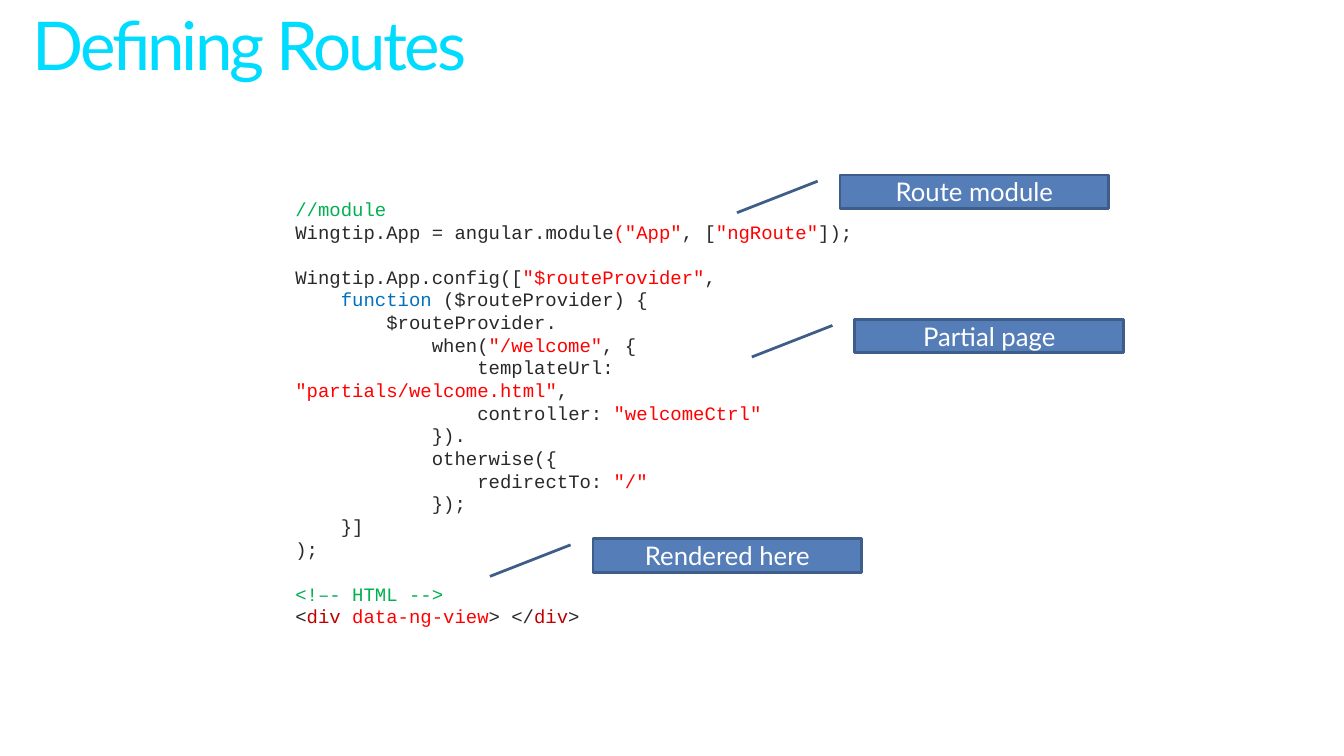
from pptx import Presentation
from pptx.dml.color import RGBColor
from pptx.enum.shapes import MSO_SHAPE
from pptx.enum.text import MSO_ANCHOR, PP_ALIGN
from pptx.util import Inches, Pt

CALLOUT = MSO_SHAPE.LINE_CALLOUT_1
TOP, MIDDLE = MSO_ANCHOR.TOP, MSO_ANCHOR.MIDDLE
LEFT, CENTER = PP_ALIGN.LEFT, PP_ALIGN.CENTER

CYAN = RGBColor(0x00, 0xDC, 0xFF)
INK = RGBColor(0x29, 0x29, 0x29)
GREEN = RGBColor(0x00, 0xB0, 0x50)
RED = RGBColor(0xFF, 0x00, 0x00)
BLUE = RGBColor(0x00, 0x70, 0xC0)
MAROON = RGBColor(0xC0, 0x00, 0x00)
WHITE = RGBColor(0xFF, 0xFF, 0xFF)
CALLOUT_FILL = RGBColor(0x55, 0x7E, 0xB9)
CALLOUT_EDGE = RGBColor(0x3F, 0x5D, 0x89)

TITLE = "Defining Routes"
CODE_BLOCKS = [
    [
        [("//module", GREEN)],
        ["Wingtip.App = angular.module", ('("App"', RED), ", [", ('"ngRoute"', RED), "]);"],
    ],
    [
        ["Wingtip.App.config([", ('"$routeProvider"', RED), ","],
        ["    ", ("function", BLUE), " ($routeProvider) {"],
        ["        $routeProvider."],
        ["            when(", ('"/welcome"', RED), ", {"],
        ["                templateUrl: ", ('"partials/welcome.html"', RED), ","],
        ["                controller: ", ('"welcomeCtrl"', RED)],
        ["            })."],
        ["            otherwise({"],
        ["                redirectTo: ", ('"/"', RED)],
        ["            });"],
        ["    }]"],
        [");"],
    ],
    [
        [("<!–- HTML -->", GREEN)],
        ["<", ("div ", MAROON), ("data-ng-view", RED), "> </", ("div", MAROON), ">"],
    ],
]
CALLOUTS = [
    ("Partial page", 8.65, 3.23),
    ("Rendered here", 6, 5.45),
    ("Route module", 8.5, 1.77),
]
CALLOUT_SIZE = Inches(2.72), Inches(0.34)
CODE_LINE = Pt(16.5)


def write(paragraph, pieces, font="Lato", size=18.7, color=WHITE,
          align=LEFT, spacing=None, before=0, tracking=None):
    paragraph.alignment = align
    paragraph.space_before = before
    if spacing:
        paragraph.line_spacing = spacing
    for piece in pieces:
        text, tint = (piece, color) if isinstance(piece, str) else piece
        run = paragraph.add_run()
        run.text = text
        run.font.name = font
        run.font.size = Pt(size)
        run.font.color.rgb = tint
        if tracking:
            run.font._element.set("spc", str(tracking * 100))


deck = Presentation()
deck.slide_width, deck.slide_height = Inches(13.6), Inches(7.65)
slide = deck.slides.add_slide(deck.slide_layouts[5])

title = slide.shapes.title
title.left, title.top = Inches(0.23), Inches(0.08)
title.width, title.height = Inches(12.81), Inches(0.93)
title.text_frame.vertical_anchor = TOP
write(title.text_frame.paragraphs[0], [TITLE], size=49, color=CYAN,
      spacing=0.9, tracking=-2)

code = slide.shapes.add_textbox(
    Inches(2.89), Inches(1.95), Inches(5.99), Inches(4.36)).text_frame
code.word_wrap = True
for block_number, block in enumerate(CODE_BLOCKS):
    for line_number, line in enumerate(block):
        is_first = block_number == line_number == 0
        paragraph = code.paragraphs[0] if is_first else code.add_paragraph()
        opens_block = block_number > 0 and line_number == 0
        write(paragraph, line, font="Courier New", size=13.8, color=INK,
              spacing=CODE_LINE, before=CODE_LINE if opens_block else 0)

for label, left, top in CALLOUTS:
    callout = slide.shapes.add_shape(CALLOUT, Inches(left), Inches(top), *CALLOUT_SIZE)
    callout.shadow.inherit = False
    callout.fill.solid()
    callout.fill.fore_color.rgb = CALLOUT_FILL
    callout.line.color.rgb = CALLOUT_EDGE
    callout.line.width = Pt(2)
    callout.text_frame.vertical_anchor = MIDDLE
    write(callout.text_frame.paragraphs[0], [label], align=CENTER)

deck.save("out.pptx")
